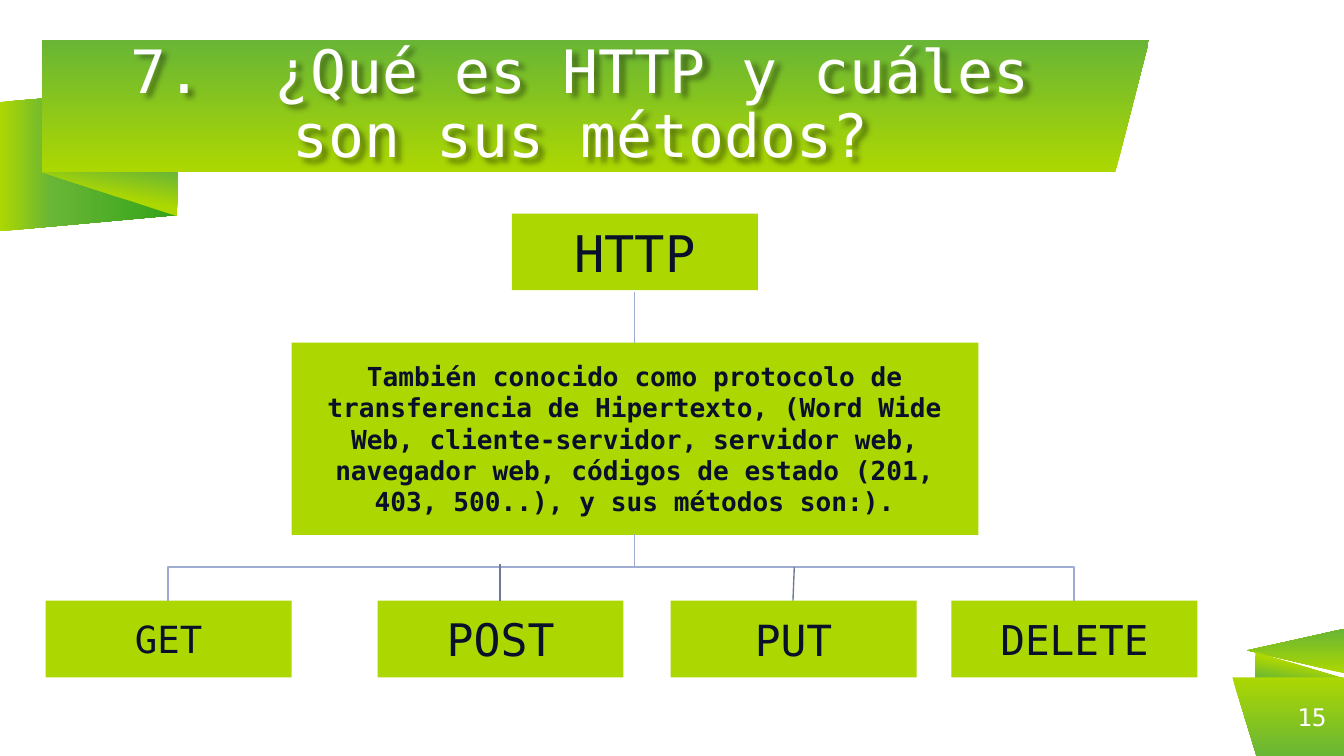
from lxml import etree
from pptx import Presentation
from pptx.dml.color import RGBColor
from pptx.enum import shapes, text
from pptx.oxml import ns
from pptx.util import Inches, Pt

LIME = RGBColor(0xAC, 0xD7, 0x01)
GREEN = RGBColor(0x69, 0xB6, 0x36)
DARK = RGBColor(0x32, 0xA3, 0x18)
WHITE = RGBColor(0xFF, 0xFF, 0xFF)
INK = RGBColor(0x09, 0x10, 0x29)
BLUE = RGBColor(0x9E, 0xAC, 0xD1)
GRAY = RGBColor(0x70, 0x7A, 0x96)

FONT = "DejaVu Sans Mono"
PLAIN = [(0, LIME), (100, GREEN)]
FOLD = [(0, LIME), (47, LIME), (100, GREEN)]
BACK = [(0, LIME), (29, GREEN), (100, DARK)]

WIDE = 10
HIGH = WIDE * 9 / 16
BOX_W, BOX_H = 1.83, 0.57
MID = 4.72
ROW = 4.47


def add(parent, tag, **attrs):
    return etree.SubElement(parent, ns.qn(tag), attrs)


def band(slide, points, stops, angle):
    """Ribbon piece; the angle runs clockwise from left-to-right."""
    first, *rest = [(Inches(x), Inches(y)) for x, y in points]
    path = slide.shapes.build_freeform(*first)
    path.add_line_segments(rest, close=True)
    shape = path.convert_to_shape()
    shape.shadow.inherit = False
    shape.line.fill.background()
    shape.fill.gradient()
    shape.fill.gradient_angle = (360 - angle) % 360
    grad = shape._element.spPr.find(ns.qn("a:gradFill"))
    ramp = grad.find(ns.qn("a:gsLst"))
    for old in list(ramp):
        ramp.remove(old)
    for pos, color in stops:
        stop = add(ramp, "a:gs", pos=str(pos * 1000))
        add(stop, "a:srgbClr", val=str(color))


def write(shape, words, size, color, align, inset=0):
    frame = shape.text_frame
    frame.word_wrap = True
    frame.vertical_anchor = text.MSO_ANCHOR.MIDDLE
    frame.margin_left = frame.margin_right = Inches(inset)
    frame.margin_top = frame.margin_bottom = Inches(inset)
    para = frame.paragraphs[0]
    para.text = words
    para.alignment = align
    para.font.name = FONT
    para.font.size = Pt(size)
    para.font.color.rgb = color
    return para


def label(slide, at, words, size, align):
    shape = slide.shapes.add_textbox(*map(Inches, at))
    write(shape, words, size, WHITE, align)
    return shape


def box(slide, at, words, size):
    shape = slide.shapes.add_shape(
        shapes.MSO_SHAPE.RECTANGLE, *map(Inches, at))
    shape.shadow.inherit = False
    shape.fill.solid()
    shape.fill.fore_color.rgb = LIME
    shape.line.fill.background()
    return write(shape, words, size, INK, text.PP_ALIGN.CENTER, 0.1)


def line(slide, start, end, color, kind=shapes.MSO_CONNECTOR.STRAIGHT):
    link = slide.shapes.add_connector(kind, *map(Inches, (*start, *end)))
    link.line.color.rgb = color
    link.line.width = Pt(0.75)
    add(link._element.spPr, "a:effectLst")
    return link


def elbow(slide, start, end):
    """Down, across and down again: a turned elbow connector."""
    (x1, y1), (x2, y2) = start, end
    mx, my = (x1 + x2) / 2, (y1 + y2) / 2
    dx, dy = abs(x2 - x1) / 2, (y2 - y1) / 2
    side = 1 if x2 >= x1 else -1
    link = line(slide, (mx + side * dy, my - dx), (mx - side * dy, my + dx),
                BLUE, shapes.MSO_CONNECTOR.ELBOW)
    turn = 270 if side > 0 else 90
    link._element.spPr.find(ns.qn("a:xfrm")).set("rot", str(turn * 60000))


def glow(shape):
    """Soft shadow behind the letters of an unfilled box."""
    effects = add(shape._element.spPr, "a:effectLst")
    shade = add(effects, "a:outerShdw", blurRad="38100", dist="38100",
                dir="2700000", algn="tl", rotWithShape="0")
    color = add(shade, "a:srgbClr", val="000000")
    add(color, "a:alpha", val="40000")


def main():
    deck = Presentation()
    deck.slide_width, deck.slide_height = Inches(WIDE), Inches(HIGH)
    slide = deck.slides.add_slide(deck.slide_layouts[6])

    # Title ribbon
    band(slide, [(0, 0.76), (1.32, 0.65), (1.32, 1.6), (0, 1.72)], BACK, 0)
    band(slide, [(0.31, 1.28), (1.32, 1.28), (1.32, 1.61)], FOLD, 280)
    band(slide, [(0.31, 0.3), (8.55, 0.3), (8.3, 1.28), (0.31, 1.28)],
         PLAIN, 270)
    title = label(slide, (0.58, 0.3, 7.48, 0.98),
                  "7.  ¿Qué es HTTP y cuáles son sus métodos?", 32,
                  text.PP_ALIGN.CENTER)
    title.text_frame.paragraphs[0].line_spacing = 0.9
    glow(title)

    # Page number ribbon
    band(slide, [(9.28, 4.84), (WIDE, 4.68), (WIDE, 5.01)], PLAIN, 270)
    band(slide, [(9.34, 4.85), (WIDE, 5.05), (9.34, 5.05)], FOLD, 100)
    band(slide, [(9.17, 5.04), (WIDE, 5.04), (WIDE, HIGH), (9.35, HIGH)],
         PLAIN, 90)
    label(slide, (9.34, 5.04, 0.53, 0.58), "15", 13, text.PP_ALIGN.RIGHT)

    # Topic and definition
    box(slide, (3.81, 1.59, BOX_W, BOX_H), "HTTP", 27)
    about = box(
        slide, (2.17, 2.55, 5.11, 1.43),
        "También conocido como protocolo de transferencia de Hipertexto, "
        "(Word Wide Web, cliente-servidor, servidor web, navegador web, "
        "códigos de estado (201, 403, 500..), y sus métodos son:).", 14)
    about.font.bold = True

    # Methods
    for left, name, size in [(7.08, "DELETE", 22), (4.99, "PUT", 23),
                             (2.81, "POST", 24), (0.34, "GET", 20)]:
        box(slide, (left, ROW, BOX_W, BOX_H), name, size)

    # Links
    elbow(slide, (MID, 2.17), (MID, 2.55))
    for x in (7.99, 1.25):
        elbow(slide, (MID, 3.97), (x, ROW))
    line(slide, (3.72, ROW), (3.72, 4.2), GRAY)
    line(slide, (5.9, ROW), (5.91, 4.22), GRAY)

    deck.save("out.pptx")


if __name__ == "__main__":
    main()
